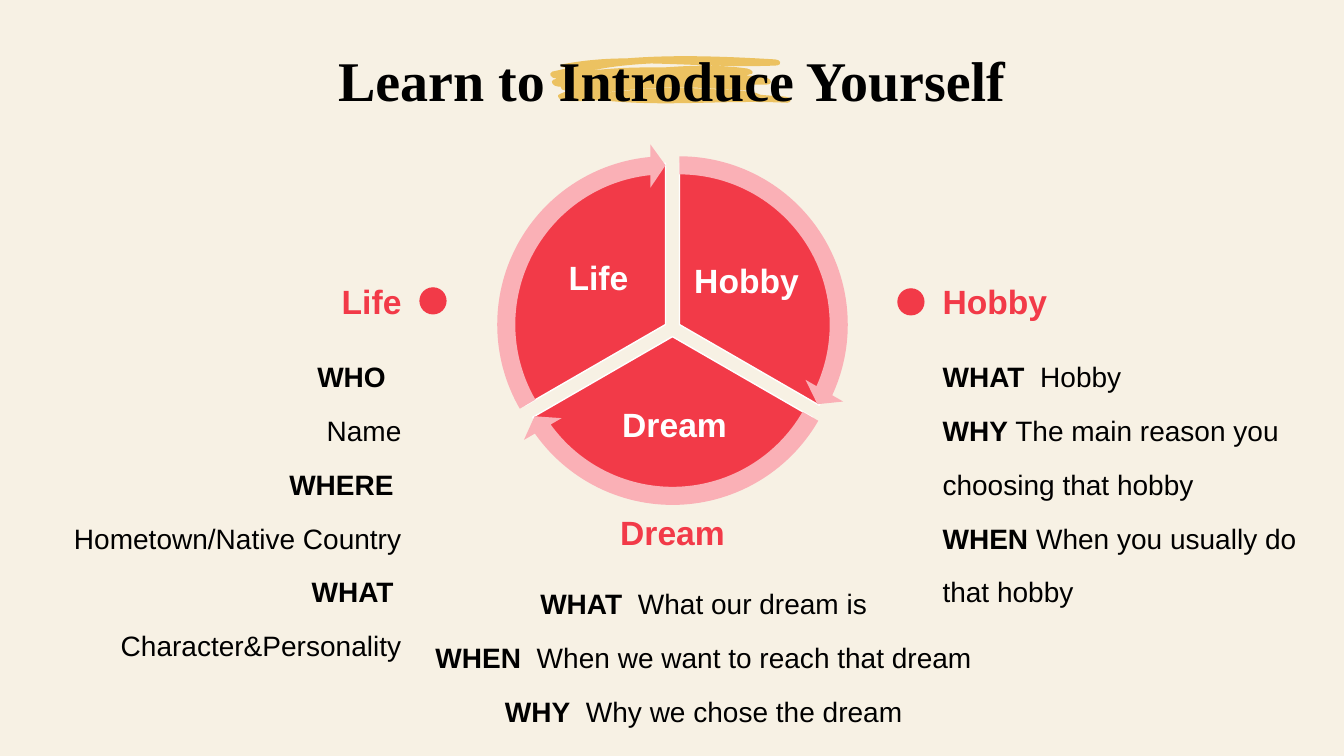
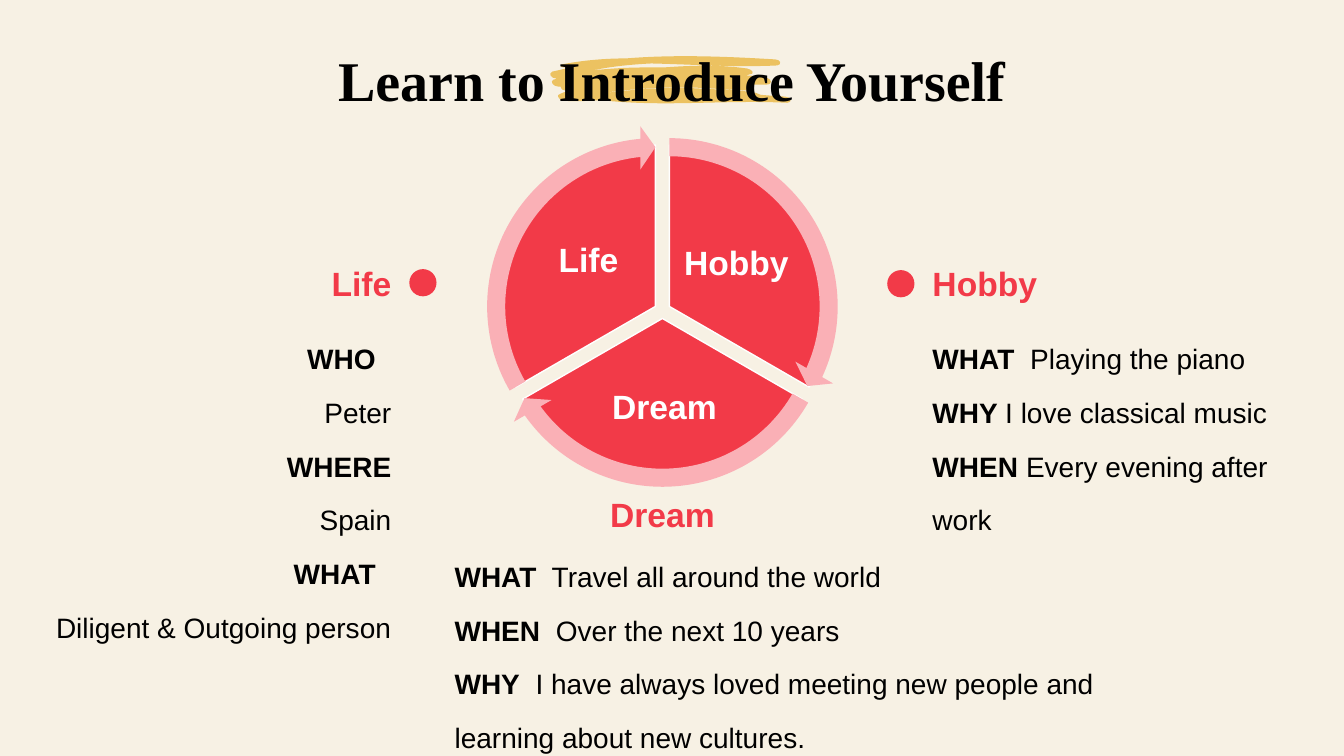
from math import cos, radians, sin, tan

from lxml import etree
from pptx import Presentation
from pptx.dml.color import RGBColor
from pptx.enum.shapes import MSO_SHAPE as SHAPE
from pptx.enum.text import MSO_ANCHOR as ANCHOR, PP_ALIGN as ALIGN
from pptx.oxml.ns import qn
from pptx.util import Inches, Pt

COLORS = {"paper": "F7F1E4", "brush": "ECC261", "red": "F23A48",
          "pink": "FAB0B6", "white": "FFFFFF", "black": "000000"}
RGB = {name: RGBColor.from_string(code) for name, code in COLORS.items()}

TITLE = {"name": "Times New Roman", "size": Pt(40), "bold": True}
HEADING = {"name": "Arial", "size": Pt(24), "bold": True}
BODY = {"name": "Arial", "size": Pt(20)}

# Brush stroke: start point, then cubic curves (two controls and an end)
BRUSH_START = (7.79, 0.96)
BRUSH_CURVES = [
    (7.71, 0.95, 7.62, 0.95, 7.54, 0.94), (7.53, 0.93, 7.51, 0.93, 7.49, 0.92),
    (7.31, 0.89, 7.14, 0.89, 6.96, 0.88), (6.8, 0.87, 6.65, 0.87, 6.5, 0.88),
    (6.33, 0.88, 6.17, 0.91, 6, 0.92), (6.29, 0.88, 6.59, 0.86, 6.9, 0.87),
    (7.08, 0.88, 7.26, 0.89, 7.43, 0.9), (7.49, 0.91, 7.49, 0.86, 7.45, 0.84),
    (7.5, 0.84, 7.55, 0.84, 7.6, 0.84), (7.67, 0.84, 7.66, 0.78, 7.59, 0.77),
    (7.53, 0.76, 7.46, 0.75, 7.4, 0.75), (7.41, 0.75, 7.42, 0.74, 7.43, 0.74),
    (7.49, 0.74, 7.47, 0.69, 7.41, 0.68), (7.13, 0.64, 6.86, 0.65, 6.58, 0.67),
    (6.52, 0.67, 6.46, 0.67, 6.4, 0.67), (6.22, 0.67, 6.05, 0.68, 5.87, 0.7),
    (6.06, 0.66, 6.26, 0.64, 6.46, 0.63), (6.88, 0.64, 7.3, 0.67, 7.71, 0.65),
    (7.76, 0.64, 7.74, 0.59, 7.69, 0.59), (7.2, 0.56, 6.69, 0.54, 6.21, 0.58),
    (5.99, 0.58, 5.78, 0.6, 5.57, 0.64), (5.55, 0.65, 5.57, 0.68, 5.59, 0.67),
    (5.62, 0.67, 5.64, 0.67, 5.67, 0.67), (5.6, 0.68, 5.54, 0.7, 5.48, 0.71),
    (5.43, 0.73, 5.47, 0.78, 5.52, 0.78), (5.52, 0.78, 5.52, 0.78, 5.53, 0.78),
    (5.52, 0.78, 5.51, 0.79, 5.49, 0.79), (5.45, 0.81, 5.49, 0.86, 5.54, 0.86),
    (5.55, 0.86, 5.55, 0.86, 5.56, 0.86), (5.56, 0.88, 5.58, 0.9, 5.61, 0.9),
    (5.62, 0.9, 5.63, 0.9, 5.64, 0.9), (5.61, 0.91, 5.58, 0.92, 5.56, 0.93),
    (5.51, 0.94, 5.54, 0.99, 5.59, 1), (5.73, 1.01, 5.87, 1, 6, 0.99),
    (6.01, 1, 6.01, 1, 6.02, 1), (6.63, 1.06, 7.2, 0.99, 7.81, 1.02),
    (7.86, 1.02, 7.85, 0.96, 7.79, 0.96)]

# Wheel: three sectors pushed out from a hub, each with an arrow around it
HUB = (6.67, 3.26)
GAP, RADIUS, ARROW_SIZE = 0.08, 1.6, 3.59
ARC_STEP = 30
HANDLE = 4 / 3 * tan(radians(ARC_STEP / 4))  # curve handle of one arc step
SECTORS = [("Hobby", (0.13, 0.71, 0.4, 0.8), 1.0),
           ("Dream", (0.59, 0.51, 0.55, 0.32), 0.9),
           ("Life", (0.4, 0.71, 0.13, 0.8), 0.9)]  # label, insets, line spacing
ANGLE_UNIT = 0.6  # adjustment value of one degree
DOTS = [(8.9, 2.86), (4.16, 2.85)]
DOT_SIZE = 0.27
HEADINGS = [("Dream", (4.82, 5, 3.7, 0.55), ALIGN.CENTER),
            ("Hobby", (9.25, 2.66, 3.55, 0.66), ALIGN.LEFT),
            ("Life", (0.53, 2.66, 3.55, 0.66), ALIGN.RIGHT)]
HOBBY_BOX = (9.25, 3.32, 3.99, 2.75)
LIFE_BOX = (0.53, 3.32, 3.55, 3.12)

# Each slide: shift of the wheel and columns, then box, alignment and
# paragraphs (bold part, plain part) of every column
SLIDES = [
    ((0, 0), [
        ((4.16, 5.57, 5.64, 1.78), ALIGN.CENTER, [
            ("WHAT", "  What our dream is"),
            ("WHEN", "  When we want to reach that dream"),
            ("WHY", "  Why we chose the dream")]),
        (HOBBY_BOX, ALIGN.LEFT, [
            ("WHAT", "  Hobby"),
            ("WHY ", "The main reason you choosing that hobby"),
            ("WHEN", " When you usually do that hobby")]),
        (LIFE_BOX, ALIGN.RIGHT, [
            ("WHO  ", ""), ("", "Name"),
            ("WHERE  ", "Hometown/Native Country"),
            ("WHAT  ", "Character&Personality")])]),
    ((-0.1, -0.18), [
        ((4.51, 5.48, 7.45, 1.78), ALIGN.LEFT, [
            ("WHAT", "  Travel all around the world"),
            ("WHEN", "  Over the next 10 years"),
            ("WHY", "  I have always loved meeting new people and "
                    "learning about new cultures.")]),
        (HOBBY_BOX, ALIGN.LEFT, [
            ("WHAT  ", "Playing the piano"),
            ("WHY ", "I love classical music"),
            ("WHEN ", "Every evening after work")]),
        (LIFE_BOX, ALIGN.RIGHT, [
            ("WHO  ", ""), ("", "Peter"), ("WHERE", ""), ("", "Spain"),
            ("WHAT  ", ""), ("", "Diligent & Outgoing person")])]),
]


def write(sp, paragraphs, font, color, align, spacing=1.0,
          anchor=ANCHOR.TOP, wrap=True):
    """Fill a shape with paragraphs, each a (bold part, plain part) pair."""
    tf = sp.text_frame
    tf.word_wrap, tf.vertical_anchor = wrap, anchor
    for i, parts in enumerate(paragraphs):
        p = tf.add_paragraph() if i else tf.paragraphs[0]
        p.alignment, p.line_spacing = align, spacing
        for text, bold in zip(parts, (True, False)):
            if text:
                r = p.add_run()
                r.text = text
                for key, value in {"bold": bold, **font}.items():
                    setattr(r.font, key, value)
                r.font.color.rgb = RGB[color]


def paint(sp, fill, line=None):
    sp.shadow.inherit = False
    sp.fill.solid()
    sp.fill.fore_color.rgb = RGB[fill]
    if line:
        sp.line.color.rgb = RGB[line]
        sp.line.width = Pt(1)
    else:
        sp.line.fill.background()


prs = Presentation()
prs.slide_width, prs.slide_height = Inches(13.33), Inches(7.5)
background = prs.slide_master.background.fill
background.solid()
background.fore_color.rgb = RGB["paper"]

for (dx, dy), columns in SLIDES:
    s = prs.slides.add_slide(prs.slide_layouts[6])
    shapes = s.shapes

    # Outlines: start point, then lines (2 numbers) and curves (6 numbers)
    outlines = [(BRUSH_START, BRUSH_CURVES, "brush", None)]
    centers = []
    for i in range(len(SECTORS)):
        middle = radians(120 * i - 30)
        cx = HUB[0] + dx + GAP * cos(middle)
        cy = HUB[1] + dy + GAP * sin(middle)
        centers.append((cx, cy))
        first = 120 * i - 90
        segments = [(cx + RADIUS * cos(radians(first)),
                     cy + RADIUS * sin(radians(first)))]
        for angle in range(first, first + 120, ARC_STEP):
            a, b = radians(angle), radians(angle + ARC_STEP)
            segments.append((
                cx + RADIUS * (cos(a) - HANDLE * sin(a)),
                cy + RADIUS * (sin(a) + HANDLE * cos(a)),
                cx + RADIUS * (cos(b) + HANDLE * sin(b)),
                cy + RADIUS * (sin(b) - HANDLE * cos(b)),
                cx + RADIUS * cos(b), cy + RADIUS * sin(b)))
        outlines.append(((cx, cy), segments, "red", "white"))

    drawn = []
    for start, segments, fill, line in outlines:
        builder = shapes.build_freeform(*map(Inches, start), scale=1.0)
        builder.add_line_segments(
            [tuple(map(Inches, segment[-2:])) for segment in segments])
        sp = builder.convert_to_shape()
        steps = sp._element.findall(".//" + qn("a:lnTo"))
        for step, segment in zip(steps, segments):
            if len(segment) == 6:
                curve = etree.Element(qn("a:cubicBezTo"))
                for x, y in zip(segment[::2], segment[1::2]):
                    etree.SubElement(curve, qn("a:pt"),
                                     x=str(Inches(x) - sp.left),
                                     y=str(Inches(y) - sp.top))
                step.getparent().replace(step, curve)
        paint(sp, fill, line)
        drawn.append(sp)

    for sp, (label, insets, spacing) in zip(drawn[1:], SECTORS):
        for side, inset in zip(("left", "top", "right", "bottom"), insets):
            setattr(sp.text_frame, "margin_" + side, Inches(inset))
        write(sp, [(label,)], HEADING, "white", ALIGN.CENTER, spacing,
              ANCHOR.MIDDLE, wrap=False)

    sp = shapes.add_textbox(*map(Inches, (3.25, 0.4, 6.82, 0.77)))
    write(sp, [("Learn to Introduce Yourself",)], TITLE, "black",
          ALIGN.CENTER, wrap=False)

    for i, (cx, cy) in enumerate(centers):
        sp = shapes.add_shape(
            SHAPE.CIRCULAR_ARROW, Inches(cx - ARROW_SIZE / 2),
            Inches(cy - ARROW_SIZE / 2), Inches(ARROW_SIZE), Inches(ARROW_SIZE))
        end, begin = 24.54 + 120 * i, (270 + 120 * i) % 360
        for j, value in enumerate((0.05, 3.28, end * ANGLE_UNIT,
                                   begin * ANGLE_UNIT, 0.06)):
            sp.adjustments[j] = value
        paint(sp, "pink")

    for x, y in DOTS:
        sp = shapes.add_shape(SHAPE.OVAL, Inches(x + dx), Inches(y + dy),
                              Inches(DOT_SIZE), Inches(DOT_SIZE))
        paint(sp, "red")

    for label, (x, y, w, h), align in HEADINGS:
        sp = shapes.add_textbox(*map(Inches, (x + dx, y + dy, w, h)))
        write(sp, [(label,)], HEADING, "red", align, anchor=ANCHOR.MIDDLE)

    for (x, y, w, h), align, paragraphs in columns:
        sp = shapes.add_textbox(*map(Inches, (x + dx, y + dy, w, h)))
        write(sp, paragraphs, BODY, "black", align, 1.6)

prs.save("out.pptx")
